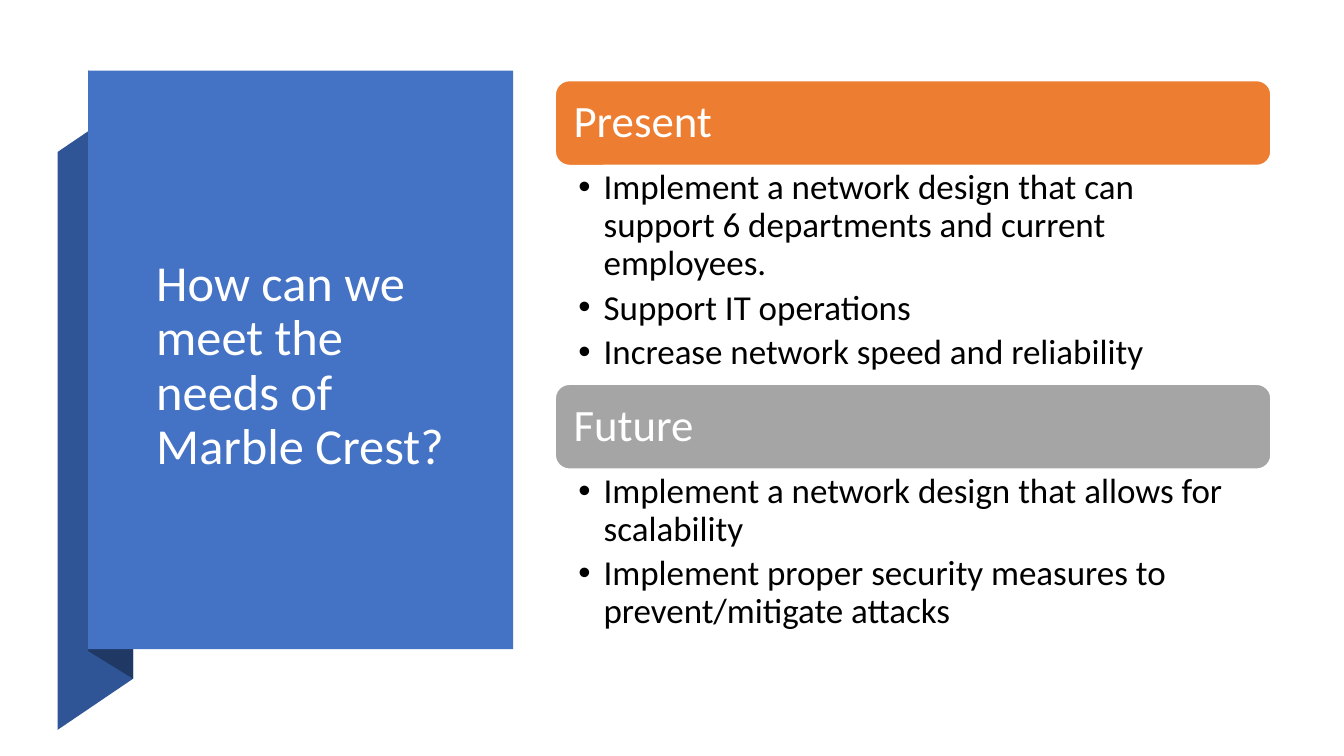
from dataclasses import dataclass

from lxml import etree
from pptx import Presentation
from pptx.dml.color import RGBColor
from pptx.enum.shapes import MSO_SHAPE as SHAPE
from pptx.enum.text import MSO_ANCHOR as ANCHOR, MSO_AUTO_SIZE as AUTO, PP_ALIGN as ALIGN
from pptx.oxml.ns import qn
from pptx.util import Inches, Pt

COLS, ROWS = 32, 18


@dataclass(frozen=True)
class Theme:
    font: str = "Calibri"
    panel: str = "4472C4"
    fold: str = "2F5597"
    fold_shade: str = "203864"
    present: str = "ED7D31"
    future: str = "A5A5A5"
    light: str = "FFFFFF"
    dark: str = "000000"
    title_size: int = 36
    heading_size: int = 32
    list_size: int = 25


class Deck:
    """Places styled elements on a grid of COLS by ROWS."""

    def __init__(self, prs, s, theme):
        self.s, self.theme = s, theme
        self.col, self.row = prs.slide_width / COLS, prs.slide_height / ROWS

    def box(self, x, y, w, h):
        return [round(v) for v in (x * self.col, y * self.row, w * self.col, h * self.row)]

    def paint(self, sp, fill, line=None):
        sp.shadow.inherit = False
        sp.fill.solid()
        sp.fill.fore_color.rgb = RGBColor.from_string(fill)
        if line:
            sp.line.color.rgb = RGBColor.from_string(line)
            sp.line.width = Pt(1)
        else:
            sp.line.fill.background()

    def frame(self, sp, insets, anchor):
        tf = sp.text_frame
        tf.word_wrap, tf.auto_size, tf.vertical_anchor = True, AUTO.NONE, anchor
        tf.margin_left, tf.margin_top, tf.margin_right, tf.margin_bottom = map(Inches, insets)
        return tf

    def add_text(self, p, text, size, color):
        p.alignment, p.line_spacing = ALIGN.LEFT, 0.9
        r = p.add_run()
        r.text = text
        r.font.name, r.font.size = self.theme.font, Pt(size)
        r.font.color.rgb = RGBColor.from_string(color)

    def polygon(self, points, fill):
        start, *rest = [(x * self.col, y * self.row) for x, y in points]
        builder = self.s.shapes.build_freeform(*start)
        builder.add_line_segments(rest, close=True)
        self.paint(builder.convert_to_shape(), fill)

    def block(self, kind, area, fill, line=None):
        sp = self.s.shapes.add_shape(kind, *self.box(*area))
        self.paint(sp, fill, line)
        return sp

    def place(self, ph, area):
        ph.left, ph.top, ph.width, ph.height = self.box(*area)
        ph.element.getparent().append(ph.element)  # bring to front

    def title(self, text, area):
        ph = self.s.shapes.title
        self.place(ph, area)
        tf = self.frame(ph, (0.1, 0.05, 0.1, 0.05), ANCHOR.MIDDLE)
        self.add_text(tf.paragraphs[0], text, self.theme.title_size, self.theme.light)

    def heading(self, text, area, fill):
        sp = self.block(SHAPE.ROUNDED_RECTANGLE, area, fill, self.theme.light)
        tf = self.frame(sp, (0.14, 0.1, 0.14, 0.1), ANCHOR.MIDDLE)
        self.add_text(tf.paragraphs[0], text, self.theme.heading_size, self.theme.light)

    def bullets(self, ph, items, area):
        self.place(ph, area)
        tf = self.frame(ph, (0.23, 0.04, 0.25, 0.04), ANCHOR.TOP)
        for i, item in enumerate(items):
            p = tf.add_paragraph() if i else tf.paragraphs[0]
            self.add_text(p, item, self.theme.list_size, self.theme.dark)
            p.space_before, p.space_after = Pt(0), Pt(self.theme.list_size * 0.2)
            pPr = p._p.get_or_add_pPr()
            pPr.set("marL", str(Inches(0.25)))
            pPr.set("indent", str(Inches(-0.25)))
            etree.SubElement(pPr, qn("a:buChar")).set("char", "•")


def main():
    prs = Presentation()
    prs.slide_width, prs.slide_height = Inches(13.33), Inches(7.5)
    s = prs.slides.add_slide(prs.slide_layouts[3])  # title and two lists
    theme = Theme()
    deck = Deck(prs, s, theme)

    # Folded ribbon behind the title panel
    left, panel_left, right = 1.37, 2.1, 3.17
    deck.polygon([(left, 17.38), (right, 16.16), (right, 2.4), (left, 3.62)], theme.fold)
    deck.polygon([(panel_left, 15.5), (right, 16.16), (right, 2.38), (panel_left, 1.68)],
                 theme.fold_shade)

    # Title panel
    deck.block(SHAPE.RECTANGLE, (panel_left, 1.68, 10.12, 13.78), theme.panel)
    deck.title("How can we meet the needs of Marble Crest?", (3.48, 4, 7.92, 9.46))

    # Stacked sections: heading bar, then its list
    sections = [
        ("Present", theme.present, 5.21, [
            "Implement a network design that can support 6 departments and current employees.",
            "Support IT operations",
            "Increase network speed and reliability"]),
        ("Future", theme.future, 4.08, [
            "Implement a network design that allows for scalability",
            "Implement proper security measures to prevent/mitigate attacks"]),
    ]
    x, y, width, bar = 13.22, 1.92, 17.04, 2.02
    for idx, (name, color, height, items) in enumerate(sections, start=1):
        deck.heading(name, (x, y, width, bar), color)
        deck.bullets(s.placeholders[idx], items, (x, y + bar, width, height))
        y += bar + height

    prs.save("out.pptx")


if __name__ == "__main__":
    main()
